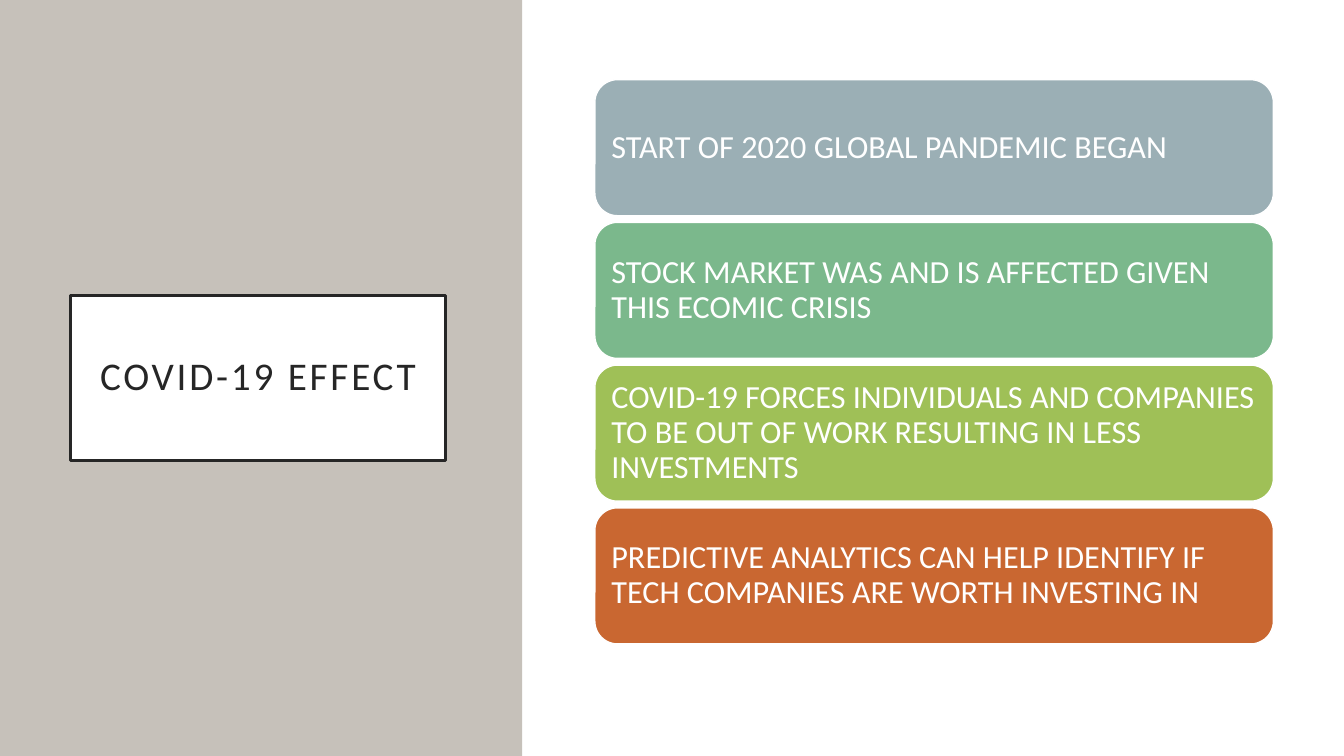
from dataclasses import dataclass

from pptx import Presentation
from pptx.dml.color import RGBColor
from pptx.enum.shapes import MSO_SHAPE
from pptx.enum.text import MSO_ANCHOR, PP_ALIGN
from pptx.shapes.autoshape import Shape
from pptx.slide import Slide
from pptx.util import Inches, Pt


@dataclass(frozen=True)
class Theme:
    """Colours, font and type sizes of the slide."""
    font: str = "Calibri"
    white: str = "FFFFFF"
    ink: str = "262626"
    panel: str = "C6C1BA"
    title_size: float = 28
    card_size: float = 23


@dataclass(frozen=True)
class Box:
    """Position and size in inches."""
    left: float
    top: float
    width: float
    height: float


@dataclass(frozen=True)
class Card:
    """One coloured statement."""
    text: str
    fill: str


THEME = Theme()
LEFT_PANEL = Box(0, 0, 5.18, 7.5)
RIGHT_PANEL = Box(5.2, 0, 8.13, 7.5)
TITLE_BOX = Box(0.7, 2.93, 3.72, 1.64)
FIRST_CARD = Box(5.9, 0.79, 6.73, 1.35)
CARD_PITCH = 1.416
CARDS = [
    Card("START OF 2020 GLOBAL PANDEMIC BEGAN", "9BAFB5"),
    Card("STOCK MARKET WAS AND IS AFFECTED GIVEN THIS ECOMIC CRISIS", "7BB88C"),
    Card("COVID-19 FORCES INDIVIDUALS AND COMPANIES TO BE OUT OF WORK "
         "RESULTING IN LESS INVESTMENTS", "9FC057"),
    Card("PREDICTIVE ANALYTICS CAN HELP IDENTIFY IF TECH COMPANIES ARE "
         "WORTH INVESTING IN", "C96731"),
]


def add_box(slide: Slide, kind: MSO_SHAPE, box: Box, fill: str,
            line: str | None = None, line_width: float = 1) -> Shape:
    """Draw a filled shape with an optional outline."""
    shape = slide.shapes.add_shape(kind, Inches(box.left), Inches(box.top),
                                   Inches(box.width), Inches(box.height))
    shape.shadow.inherit = False
    shape.fill.solid()
    shape.fill.fore_color.rgb = RGBColor.from_string(fill)
    if line is None:
        shape.line.fill.background()
    else:
        shape.line.color.rgb = RGBColor.from_string(line)
        shape.line.width = Pt(line_width)
    return shape


def set_text(shape: Shape, text: str, size: float, color: str,
             alignment: PP_ALIGN, inset: float) -> None:
    """Write one vertically centred paragraph in a shape."""
    frame = shape.text_frame
    frame.text = text
    frame.word_wrap = True
    frame.vertical_anchor = MSO_ANCHOR.MIDDLE
    frame.margin_left = frame.margin_right = Inches(inset)
    frame.margin_top = frame.margin_bottom = Inches(inset)
    paragraph = frame.paragraphs[0]
    paragraph.alignment = alignment
    paragraph.line_spacing = 0.9
    font = paragraph.runs[0].font
    font.name = THEME.font
    font.size = Pt(size)
    font.color.rgb = RGBColor.from_string(color)


def add_title(slide: Slide) -> None:
    """Draw the framed, letter-spaced title."""
    title = add_box(slide, MSO_SHAPE.RECTANGLE, TITLE_BOX, THEME.white, THEME.ink, 2.5)
    set_text(title, "COVID-19 EFFECT", THEME.title_size, THEME.ink, PP_ALIGN.CENTER, 0.2)
    run = title.text_frame.paragraphs[0].runs[0]
    run.font._element.set("spc", "200")


def add_cards(slide: Slide) -> None:
    """Stack the statement cards at an equal pitch."""
    for index, card in enumerate(CARDS):
        box = Box(FIRST_CARD.left, FIRST_CARD.top + index * CARD_PITCH,
                  FIRST_CARD.width, FIRST_CARD.height)
        shape = add_box(slide, MSO_SHAPE.ROUNDED_RECTANGLE, box, card.fill, THEME.white)
        set_text(shape, card.text, THEME.card_size, THEME.white, PP_ALIGN.LEFT, 0.1)


def main() -> None:
    """Build and save the presentation."""
    presentation = Presentation()
    presentation.slide_width = Inches(13.33)
    presentation.slide_height = Inches(7.5)
    slide = presentation.slides.add_slide(presentation.slide_layouts[6])
    add_box(slide, MSO_SHAPE.RECTANGLE, LEFT_PANEL, THEME.panel)
    add_title(slide)
    add_box(slide, MSO_SHAPE.RECTANGLE, RIGHT_PANEL, THEME.white)
    add_cards(slide)
    presentation.save("out.pptx")


if __name__ == "__main__":
    main()
